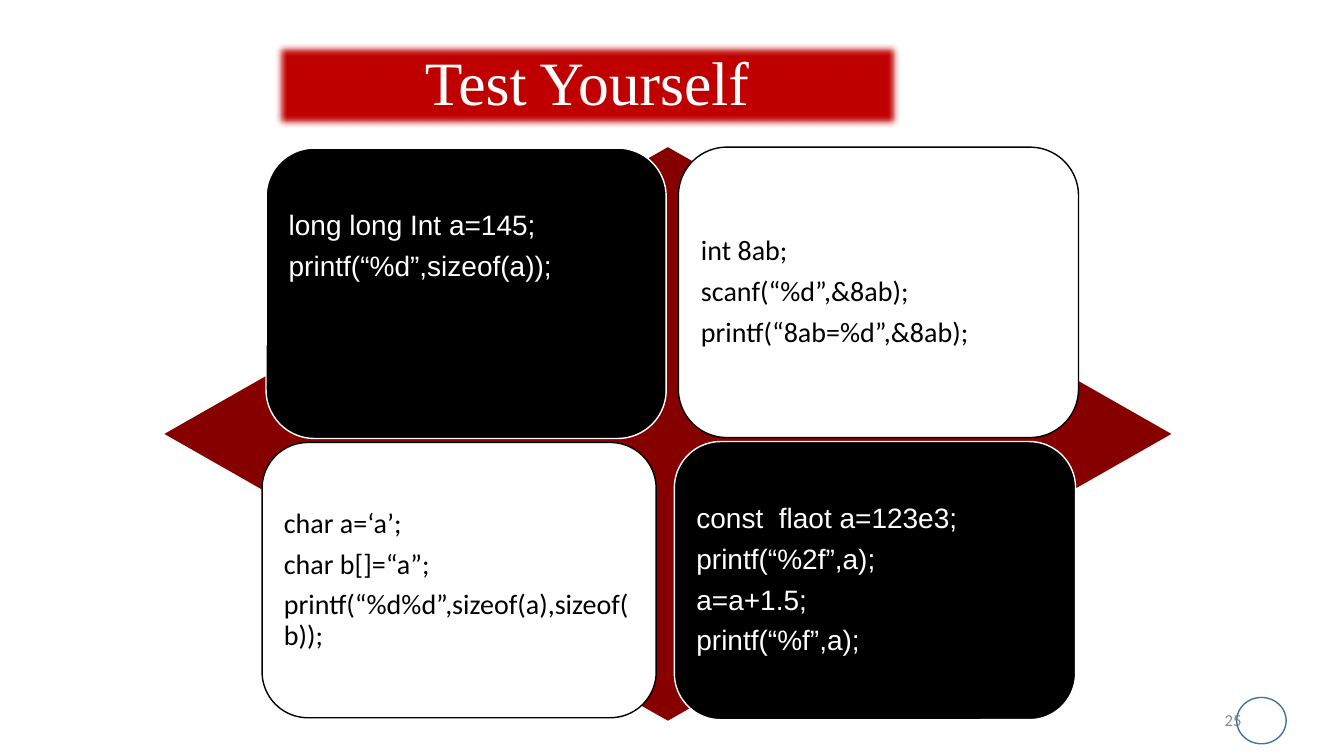
from lxml.etree import SubElement
from pptx import Presentation
from pptx.dml.color import RGBColor
from pptx.enum.shapes import MSO_SHAPE
from pptx.enum.text import MSO_ANCHOR, MSO_AUTO_SIZE, PP_ALIGN
from pptx.oxml.ns import qn
from pptx.util import Pt


def color(value):
    return RGBColor.from_string(value)


def set_lines(shape, lines, font_name, size, font_color, alignment, anchor):
    frame = shape.text_frame
    frame.word_wrap = True
    frame.auto_size = MSO_AUTO_SIZE.NONE
    frame.vertical_anchor = anchor
    frame.text = "\n".join(lines)
    for paragraph in frame.paragraphs:
        paragraph.alignment = alignment
        paragraph.line_spacing = 0.9
        for run in paragraph.runs:
            run.font.name = font_name
            run.font.size = Pt(size)
            run.font.color.rgb = color(font_color)


presentation = Presentation()
presentation.slide_width = Pt(960)
presentation.slide_height = Pt(540)
slide = presentation.slides.add_slide(presentation.slide_layouts[5])
shapes = slide.shapes

title = shapes.title
title.left, title.top, title.width, title.height = Pt(196.6), Pt(31), Pt(445.7), Pt(59.8)
title.fill.solid()
title.fill.fore_color.rgb = color("C00000")
effects = SubElement(title.element.spPr, qn("a:effectLst"))
SubElement(effects, qn("a:softEdge"), rad=str(Pt(5)))
set_lines(title, ["Test Yourself"], "Times New Roman", 44, "FFFFFF",
          PP_ALIGN.CENTER, MSO_ANCHOR.MIDDLE)

number = shapes.add_textbox(Pt(678), Pt(500.5), Pt(216), Pt(28.8))
set_lines(number, ["25"], "Calibri", 12, "8C8C8C", PP_ALIGN.RIGHT, MSO_ANCHOR.MIDDLE)

ring = shapes.add_shape(MSO_SHAPE.OVAL, Pt(883.4), Pt(498.2), Pt(35.3), Pt(33.1))
ring.shadow.inherit = False
ring.fill.background()
ring.line.color.rgb = color("43739E")
ring.line.width = Pt(1)

diamond = shapes.add_shape(MSO_SHAPE.DIAMOND, Pt(117.4), Pt(105.1), Pt(719.3), Pt(409.7))
diamond.shadow.inherit = False
diamond.fill.solid()
diamond.fill.fore_color.rgb = color("860000")
diamond.line.fill.background()

BLACK, WHITE = "000000", "FFFFFF"
questions = [
    (190.1, 105.8, 285.8, 207.4, BLACK, WHITE, "Arial", MSO_ANCHOR.TOP, 35,
     ["long long Int a=145;", "printf(“%d”,sizeof(a));"]),
    (484.6, 105.1, 285.8, 207.4, WHITE, BLACK, "Calibri", MSO_ANCHOR.MIDDLE, 6,
     ["int 8ab;", "scanf(“%d”,&8ab);", "printf(“8ab=%d”,&8ab);"]),
    (187.2, 316.1, 281.5, 196.6, WHITE, BLACK, "Calibri", MSO_ANCHOR.MIDDLE, 6,
     ["char a=‘a’;", "char b[]=“a”;", "printf(“%d%d”,sizeof(a),sizeof(b));"]),
    (481.7, 315.4, 286.6, 198.7, BLACK, WHITE, "Arial", MSO_ANCHOR.MIDDLE, 6,
     ["const  flaot a=123e3;", "printf(“%2f”,a);", "a=a+1.5;", "printf(“%f”,a);"]),
]
for left, top, width, height, fill, ink, font_name, anchor, margin_top, lines in questions:
    card = shapes.add_shape(MSO_SHAPE.ROUNDED_RECTANGLE, Pt(left), Pt(top), Pt(width), Pt(height))
    card.shadow.inherit = False
    card.fill.solid()
    card.fill.fore_color.rgb = color(fill)
    card.line.color.rgb = color(ink)
    card.line.width = Pt(1)
    set_lines(card, lines, font_name, 20, ink, PP_ALIGN.LEFT, anchor)
    frame = card.text_frame
    frame.margin_left = frame.margin_right = frame.margin_bottom = Pt(6)
    frame.margin_top = Pt(margin_top)
    for paragraph in frame.paragraphs:
        paragraph.space_after = Pt(7.5)

presentation.save("out.pptx")
